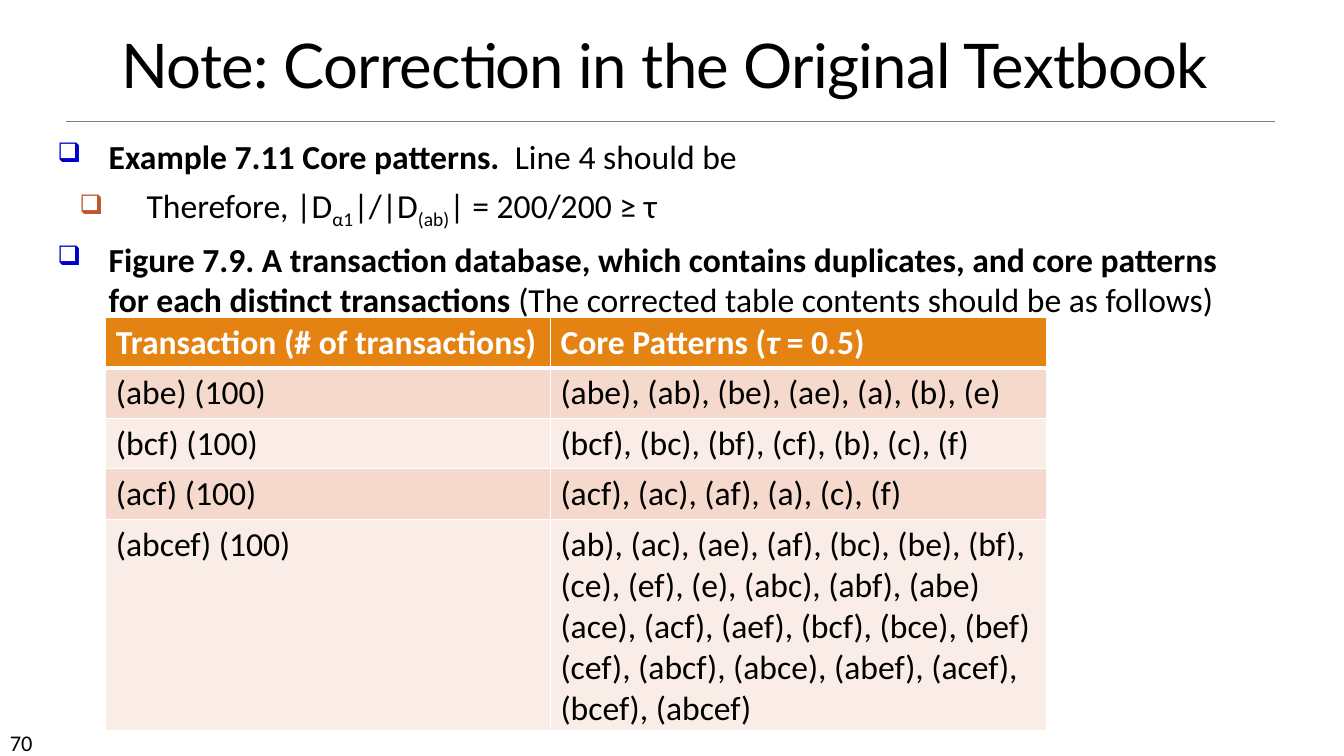
from lxml import etree
from pptx import Presentation
from pptx.dml.color import RGBColor
from pptx.enum.shapes import MSO_CONNECTOR
from pptx.enum.text import MSO_ANCHOR, PP_ALIGN
from pptx.oxml.ns import qn
from pptx.util import Inches, Pt

COLORS = {
    "text": "000000", "rule": "808080", "white": "FFFFFF",
    "bullet": "0000CC", "sub_bullet": "BD582C",
    "header": "E48312", "odd_row": "F5D9CC", "even_row": "FAEDE7",
}
BODY_FONT = "Calibri"
# Each bullet: level, then runs of (text, style)
BULLETS = [
    (0, [("Example 7.11 Core patterns.  ", "bold"), ("Line 4 should be", "")]),
    (1, [(" Therefore, |D", ""), ("α1", "sub"), ("|/|D", ""), ("(ab)", "sub"),
         ("| = 200/200 ≥ τ", "")]),
    (0, [("Figure 7.9. A transaction database, which contains duplicates, and core "
          "patterns for each distinct transactions ", "bold"),
         ("(The corrected table contents should be as follows)", "")]),
]
# Per level: left margin, hanging indent, bullet colour
LEVELS = [(0.51, 0.51, "bullet"), (0.81, 0.59, "sub_bullet")]
HEADER = [
    [("Transaction (# of transactions)", "bold")],
    [("Core Patterns (", "bold"), ("τ ", "bold italic"), ("= 0", "bold"),
     (".", "bold italic"), ("5)", "bold")],
]
TRANSACTIONS = [
    ("(abe) (100)", ["(abe), (ab), (be), (ae), (a), (b), (e)"]),
    ("(bcf) (100)", ["(bcf), (bc), (bf), (cf), (b), (c), (f)"]),
    ("(acf) (100)", ["(acf), (ac), (af), (a), (c), (f)"]),
    ("(abcef) (100)", ["(ab), (ac), (ae), (af), (bc), (be), (bf),",
                       "(ce), (ef), (e), (abc), (abf), (abe)",
                       "(ace), (acf), (aef), (bcf), (bce), (bef)",
                       "(cef), (abcf), (abce), (abef), (acef), (bcef), (abcef)"]),
]
COLUMN_WIDTHS = [4.41, 4.92]
HEADER_HEIGHT, ROW_HEIGHT = 0.44, 0.41


def rgb(name):
    return RGBColor.from_string(COLORS[name])


def add_run(paragraph, text, style="", size=24, color="text", font=BODY_FONT):
    """Add a run; style holds any of the words bold, italic and sub."""
    run = paragraph.add_run()
    run.text = text
    run.font.name = font
    run.font.size = Pt(size)
    run.font.color.rgb = rgb(color)
    run.font.bold = "bold" in style
    run.font.italic = "italic" in style
    if "sub" in style:
        run.font._element.set("baseline", "-25000")
    return run


def add_text_frame(slide, left, top, width, height):
    box = slide.shapes.add_textbox(Inches(left), Inches(top), Inches(width), Inches(height))
    box.text_frame.word_wrap = True
    return box.text_frame


def next_paragraph(text_frame, index):
    return text_frame.add_paragraph() if index else text_frame.paragraphs[0]


def add_title(slide, text):
    text_frame = add_text_frame(slide, 0.38, 0.24, 12.43, 0.81)
    text_frame.vertical_anchor = MSO_ANCHOR.BOTTOM
    paragraph = text_frame.paragraphs[0]
    paragraph.alignment = PP_ALIGN.CENTER
    paragraph.line_spacing = 0.85
    run = add_run(paragraph, text, size=44, font="Lato")
    run.font._element.set("spc", "-50")


def add_rule(slide):
    rule = slide.shapes.add_connector(
        MSO_CONNECTOR.STRAIGHT, Inches(0.65), Inches(1.2), Inches(12.65), Inches(1.2))
    rule.line.color.rgb = rgb("rule")
    rule.line.width = Pt(0.5)
    etree.SubElement(rule._element.spPr, qn("a:effectLst"))


def set_bullet(paragraph, level):
    margin, hanging, color = LEVELS[level]
    paragraph.level = level
    properties = paragraph._p.get_or_add_pPr()
    properties.set("marL", str(Inches(margin)))
    properties.set("indent", str(-Inches(hanging)))
    bullet_color = etree.SubElement(properties, qn("a:buClr"))
    etree.SubElement(bullet_color, qn("a:srgbClr"), val=COLORS[color])
    etree.SubElement(properties, qn("a:buSzPct"), val="80000")
    etree.SubElement(properties, qn("a:buChar"), char="❑")


def add_bullets(slide):
    text_frame = add_text_frame(slide, 0.47, 1.3, 12.04, 1.8)
    for index, (level, runs) in enumerate(BULLETS):
        paragraph = next_paragraph(text_frame, index)
        set_bullet(paragraph, level)
        if index:
            paragraph.space_before = Pt(6)
        for text, style in runs:
            add_run(paragraph, text, style)


def set_borders(cell, top, bottom):
    """Draw white cell borders; top and bottom widths are in points."""
    properties = cell._tc.get_or_add_tcPr()
    for side, width in (("L", 1), ("R", 1), ("T", top), ("B", bottom)):
        line = etree.SubElement(properties, qn(f"a:ln{side}"), w=str(Pt(width)))
        fill = etree.SubElement(line, qn("a:solidFill"))
        etree.SubElement(fill, qn("a:srgbClr"), val=COLORS["white"])


def fill_cell(cell, paragraphs, fill, color="text", top=1, bottom=1):
    set_borders(cell, top, bottom)
    cell.fill.solid()
    cell.fill.fore_color.rgb = rgb(fill)
    for index, runs in enumerate(paragraphs):
        paragraph = next_paragraph(cell.text_frame, index)
        for text, style in runs:
            add_run(paragraph, text, style, color=color)


def add_pattern_table(slide):
    row_count = len(TRANSACTIONS) + 1
    height = HEADER_HEIGHT + ROW_HEIGHT * len(TRANSACTIONS)
    table = slide.shapes.add_table(
        row_count, len(COLUMN_WIDTHS), Inches(1.05), Inches(3.15),
        Inches(sum(COLUMN_WIDTHS)), Inches(height)).table
    for column, width in zip(table.columns, COLUMN_WIDTHS):
        column.width = Inches(width)
    for index, row in enumerate(table.rows):
        row.height = Inches(ROW_HEIGHT if index else HEADER_HEIGHT)
    for column, runs in enumerate(HEADER):
        fill_cell(table.cell(0, column), [runs], "header", "white", bottom=3)
    for row, (transaction, patterns) in enumerate(TRANSACTIONS, start=1):
        fill = "odd_row" if row % 2 else "even_row"
        for column, lines in enumerate(([transaction], patterns)):
            paragraphs = [[(line, "")] for line in lines]
            fill_cell(table.cell(row, column), paragraphs, fill, top=3 if row == 1 else 1)


def add_page_number(slide, number):
    text_frame = add_text_frame(slide, 0, 7.18, 1.17, 0.3)
    add_run(text_frame.paragraphs[0], number, size=16)


def main():
    presentation = Presentation()
    presentation.slide_width = Inches(13.33)
    presentation.slide_height = Inches(7.5)
    slide = presentation.slides.add_slide(presentation.slide_layouts[6])
    add_rule(slide)
    add_page_number(slide, "70")
    add_title(slide, "Note: Correction in the Original Textbook")
    add_bullets(slide)
    add_pattern_table(slide)
    presentation.save("out.pptx")


if __name__ == "__main__":
    main()
